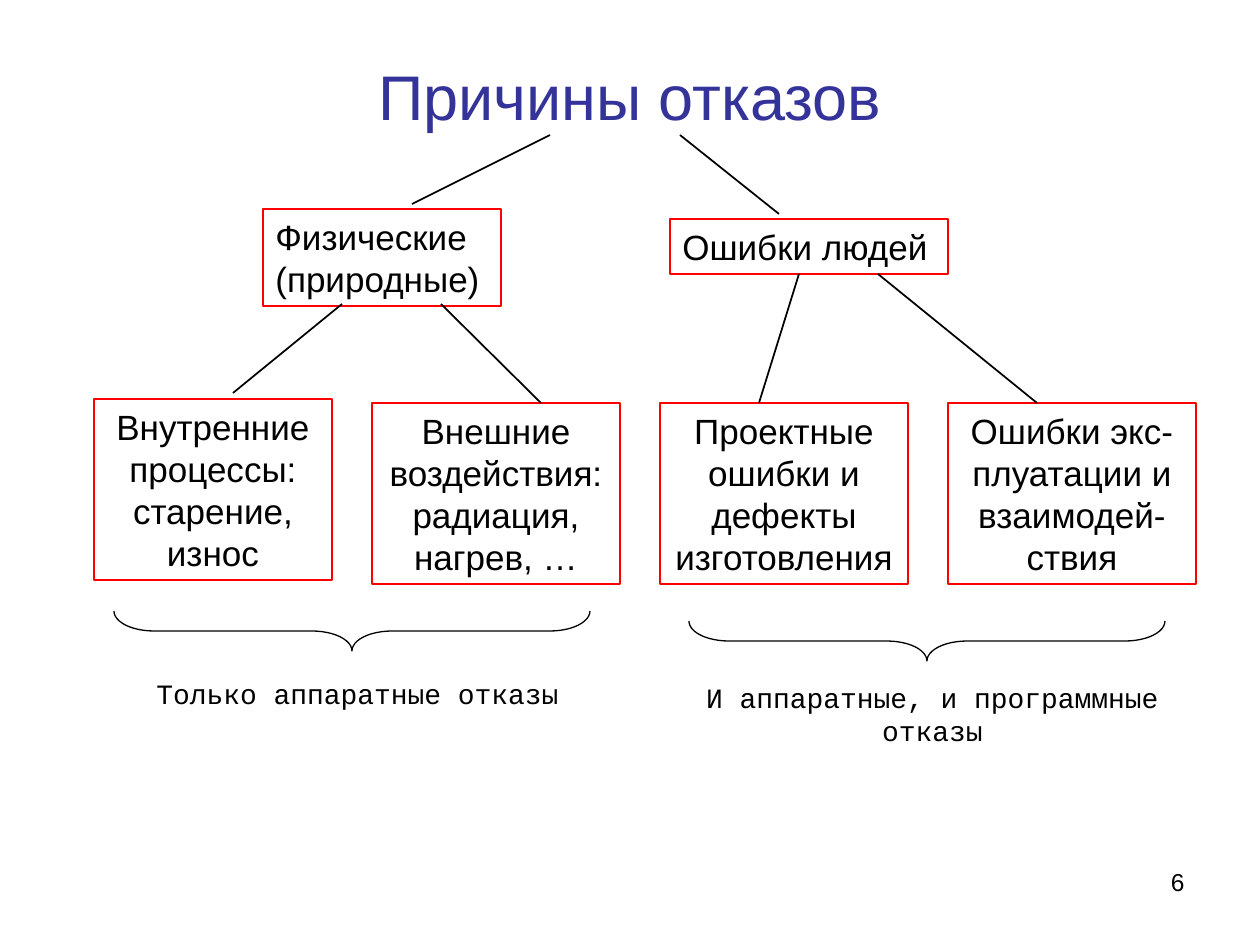
"""Build a slide with a tree of the causes of failures."""
from dataclasses import dataclass

from lxml import etree
from pptx import Presentation
from pptx.dml.color import RGBColor
from pptx.enum.shapes import MSO_CONNECTOR, MSO_SHAPE
from pptx.enum.text import MSO_ANCHOR, MSO_AUTO_SIZE, PP_ALIGN
from pptx.oxml.ns import qn
from pptx.util import Emu, Pt

LEFT, CENTER, RIGHT = PP_ALIGN.LEFT, PP_ALIGN.CENTER, PP_ALIGN.RIGHT
TOP, MIDDLE = MSO_ANCHOR.TOP, MSO_ANCHOR.MIDDLE
GROW, FIXED = MSO_AUTO_SIZE.SHAPE_TO_FIT_TEXT, MSO_AUTO_SIZE.NONE
RECT, BRACE = MSO_SHAPE.RECTANGLE, MSO_SHAPE.LEFT_BRACE
STRAIGHT = MSO_CONNECTOR.STRAIGHT


@dataclass(frozen=True)
class Theme:
    ink: RGBColor = RGBColor(0x00, 0x00, 0x00)
    title: RGBColor = RGBColor(0x33, 0x33, 0x99)
    frame: RGBColor = RGBColor(0xFF, 0x00, 0x00)
    sans: str = "Arial"
    mono: str = "Courier New"
    head: int = 36
    body: int = 20
    note: int = 16
    page: int = 14


def px(*nums):
    return [Emu(round(num * 914400 / 126)) for num in nums]


def write(shape, text, size, font, color, align, anchor=TOP, gap=0, fit=FIXED):
    frame = shape.text_frame
    frame.text = text
    frame.word_wrap = True
    frame.auto_size = fit
    frame.vertical_anchor = anchor
    para = frame.paragraphs[0]
    para.alignment = align
    para.space_before = Pt(gap)
    face = para.runs[0].font
    face.size, face.name = Pt(size), font
    face.color.rgb = color


theme = Theme()
deck = Presentation()
deck.slide_width, deck.slide_height = px(1260, 945)
slide = deck.slides.add_slide(deck.slide_layouts[5])
shapes = slide.shapes

title = shapes.title
title.left, title.top, title.width, title.height = px(63, 17, 1134, 157)
write(title, "Причины отказов", theme.head, theme.sans, theme.title, CENTER, MIDDLE)

causes = [
    ("Физические (природные)", (263, 209, 238, 97), LEFT),
    ("Ошибки людей", (670, 219, 278, 55), LEFT),
    ("Внутренние процессы: старение, износ", (94, 399, 238, 181), CENTER),
    ("Внешние воздействия: радиация, нагрев, …", (372, 403, 248, 181), CENTER),
    ("Проектные ошибки и дефекты изготовления", (660, 403, 248, 181), CENTER),
    ("Ошибки экс-плуатации и взаимодей-ствия", (948, 403, 248, 181), CENTER),
]
for text, place, align in causes:
    box = shapes.add_shape(RECT, *px(*place))
    box.shadow.inherit = False
    box.fill.background()
    box.line.color.rgb = theme.frame
    box.line.width = Pt(0.75)
    write(box, text, theme.body, theme.sans, theme.ink, align, gap=12.5, fit=GROW)

branches = [
    (550, 135, 412, 204),
    (680, 135, 779, 214),
    (342, 304, 233, 393),
    (441, 304, 541, 403),
    (799, 274, 759, 403),
    (878, 274, 1037, 403),
]
for ends in branches:
    branch = shapes.add_connector(STRAIGHT, *px(*ends))
    branch.line.color.rgb = theme.ink
    branch.line.width = Pt(1)
    etree.SubElement(branch._element.spPr, qn("a:effectLst"))

for left, top in [(332, 393), (907, 403)]:
    brace = shapes.add_shape(BRACE, *px(left, top, 40, 476))
    brace.rotation = 270
    brace.adjustments[0] = 1
    brace.shadow.inherit = False
    brace.fill.background()
    brace.line.color.rgb = theme.ink
    brace.line.width = Pt(0.75)

notes = [
    ("Только аппаратные отказы", (144, 670, 466, 47), LEFT),
    ("И аппаратные, и программные отказы", (679, 674, 507, 81), CENTER),
]
for text, place, align in notes:
    note = shapes.add_textbox(*px(*place))
    write(note, text, theme.note, theme.mono, theme.ink, align, gap=10, fit=GROW)

page = shapes.add_textbox(*px(903, 861, 294, 66))
write(page, "6", theme.page, theme.sans, theme.ink, RIGHT)

deck.save("out.pptx")
